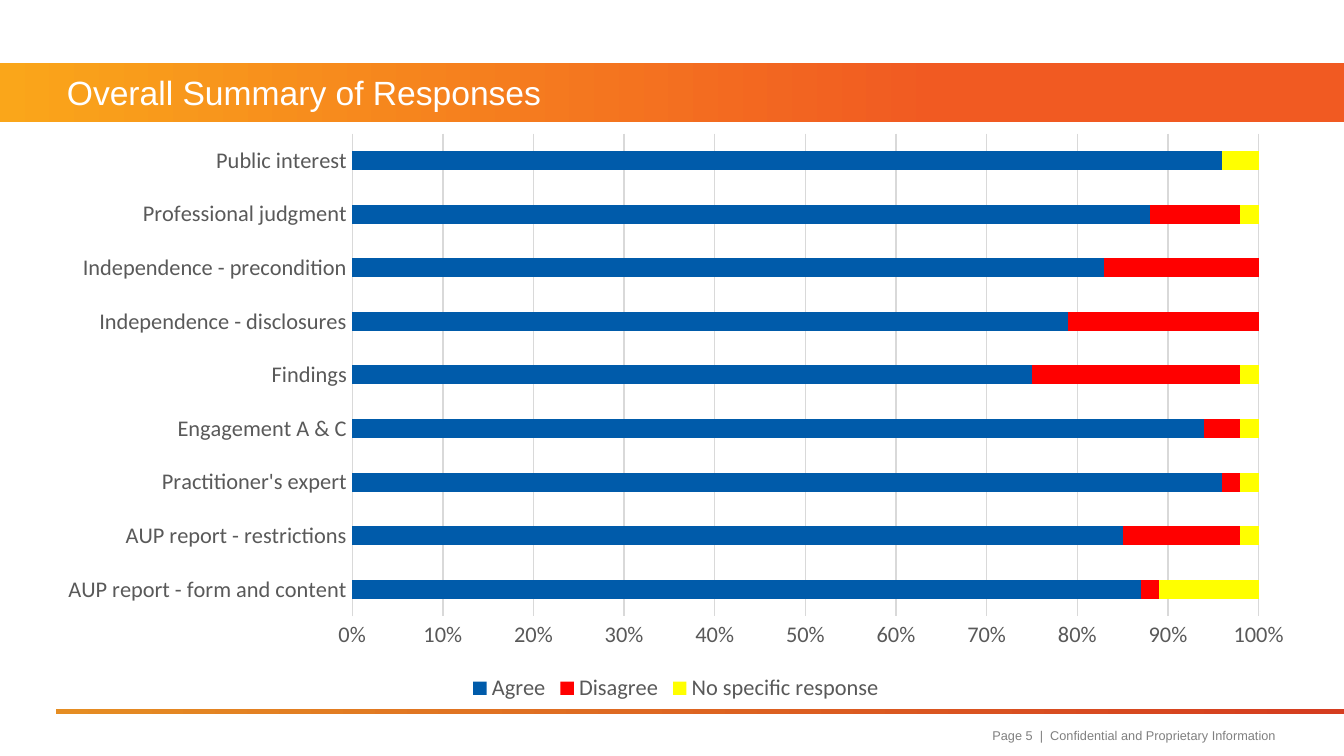
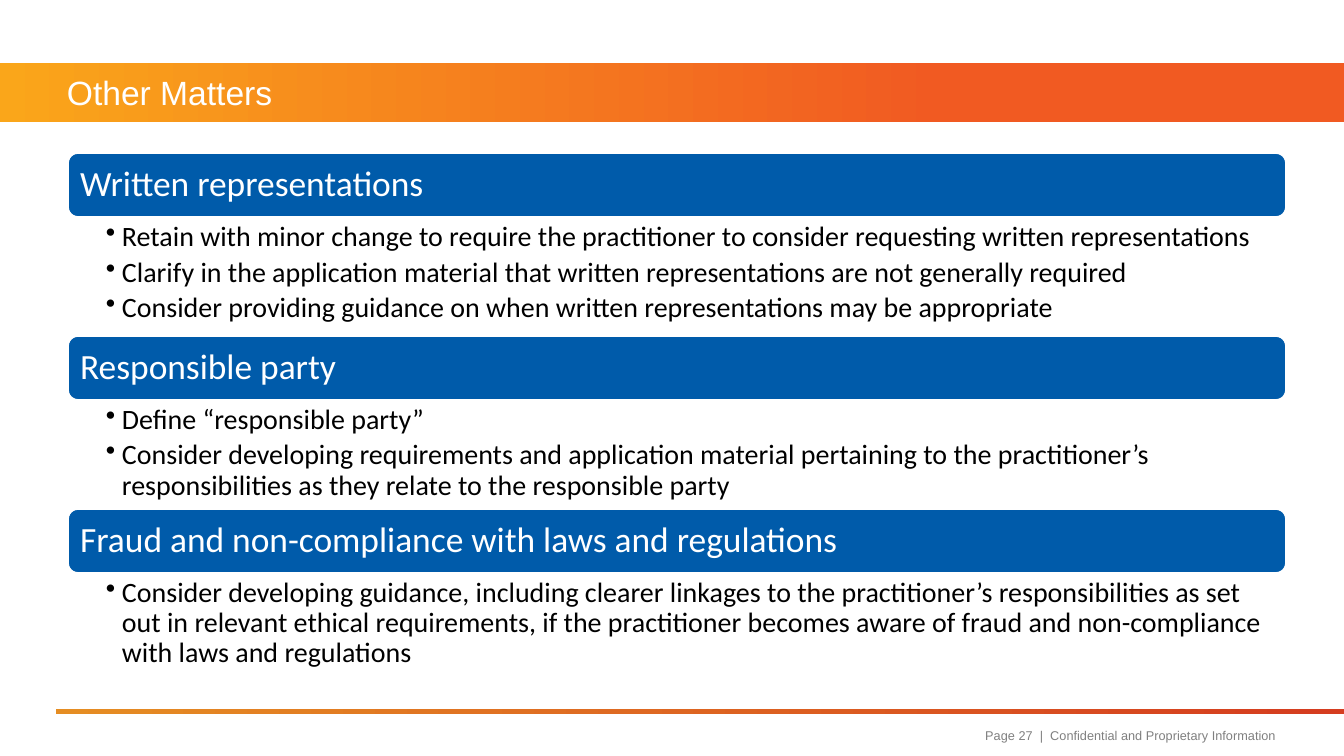
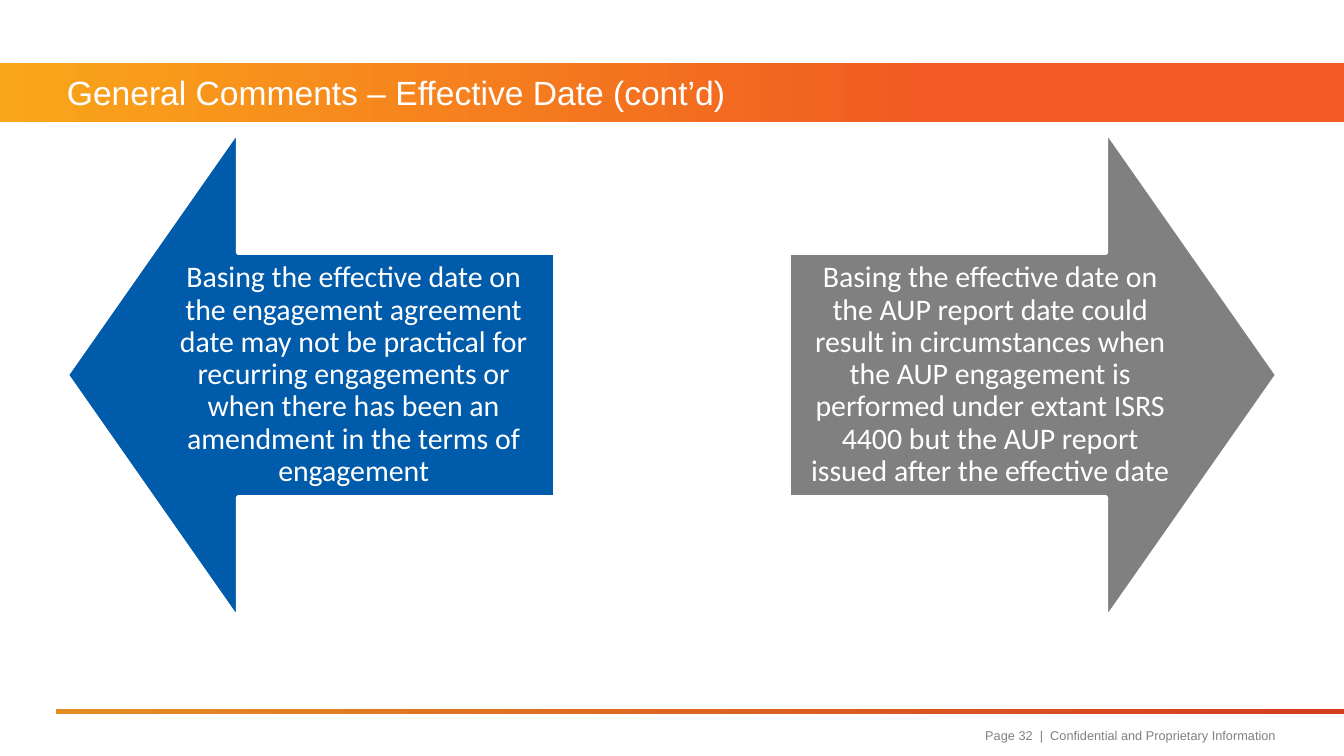
from lxml.etree import SubElement
from pptx import Presentation
from pptx.chart.data import CategoryChartData
from pptx.dml.color import RGBColor
from pptx.enum.chart import XL_CHART_TYPE as ChartType
from pptx.enum.chart import XL_LEGEND_POSITION as LegendPosition
from pptx.enum.chart import XL_TICK_MARK as TickMark
from pptx.enum.shapes import MSO_SHAPE as Preset
from pptx.enum.text import MSO_ANCHOR as Anchor
from pptx.enum.text import PP_ALIGN as Align
from pptx.oxml.ns import qn
from pptx.util import Emu, Pt

EMU_PER_PX = 914400 / 134.4
SLIDE_WIDTH, SLIDE_HEIGHT = 1344, 756
BAND_TOP, BAND_HEIGHT = 63, 59

COLORS = {
    "white": "FFFFFF",
    "black": "000000",
    "amber": "FAA61A",
    "orange": "F15A22",
    "rule_start": "E58D23",
    "rule_end": "D53D20",
    "blue": "005BAA",
    "red": "FF0000",
    "yellow": "FFFF00",
    "gray": "808080",
    "label": "595959",
    "grid": "D9D9D9",
}

TOPICS = [
    ("Public interest", 0.96, 0, 0.04),
    ("Professional judgment", 0.88, 0.1, 0.02),
    ("Independence - precondition", 0.83, 0.17, 0),
    ("Independence - disclosures", 0.79, 0.21, 0),
    ("Findings", 0.75, 0.23, 0.02),
    ("Engagement A & C", 0.94, 0.04, 0.02),
    ("Practitioner's expert", 0.96, 0.02, 0.02),
    ("AUP report - restrictions", 0.85, 0.13, 0.02),
    ("AUP report - form and content", 0.87, 0.02, 0.12),
]
ANSWERS = [("Agree", "blue"), ("Disagree", "red"), ("No specific response", "yellow")]

# Heading, height of the text below it, bullets
MATTERS = [
    ("Written representations", 117, [
        "Retain with minor change to require the practitioner to consider requesting "
        "written representations",
        "Clarify in the application material that written representations are not "
        "generally required",
        "Consider providing guidance on when written representations may be appropriate",
    ]),
    ("Responsible party", 107, [
        "Define “responsible party”",
        "Consider developing requirements and application material pertaining to the "
        "practitioner’s responsibilities as they relate to the responsible party",
    ]),
    ("Fraud and non-compliance with laws and regulations", 101, [
        "Consider developing guidance, including clearer linkages to the practitioner’s "
        "responsibilities as set out in relevant ethical requirements, if the "
        "practitioner becomes aware of fraud and non-compliance with laws and regulations",
    ]),
]

ARROWS = [
    (Preset.LEFT_ARROW, 67, "blue",
     "Basing the effective date on the engagement agreement date may not be practical "
     "for recurring engagements or when there has been an amendment in the terms of "
     "engagement"),
    (Preset.RIGHT_ARROW, 789, "gray",
     "Basing the effective date on the AUP report date could result in circumstances "
     "when the AUP engagement is performed under extant ISRS 4400 but the AUP report "
     "issued after the effective date"),
]


def px(length):
    return Emu(round(length * EMU_PER_PX))


def rgb(name):
    return RGBColor.from_string(COLORS[name])


def set_font(font, size, color, face="Calibri"):
    font.size, font.name = Pt(size), face
    font.color.rgb = rgb(color)


def set_frame(frame, anchor, margins=(0, 0, 0, 0)):
    """Wrap the text and set left, top, right and bottom margins."""
    frame.word_wrap = True
    frame.vertical_anchor = anchor
    (frame.margin_left, frame.margin_top,
     frame.margin_right, frame.margin_bottom) = map(px, margins)


def write(para, text, size, color, face="Calibri", align=Align.LEFT, spacing=0.9):
    para.alignment, para.line_spacing = align, spacing
    span = para.add_run()
    span.text = text
    set_font(span.font, size, color, face)


def add_label(page, box_px, text, size, color, align=Align.LEFT):
    box = page.shapes.add_textbox(*map(px, box_px))
    set_frame(box.text_frame, Anchor.MIDDLE)
    write(box.text_frame.paragraphs[0], text, size, color, "Arial", align, 1.0)


def add_gradient_bar(page, box_px, stops):
    bar = page.shapes.add_shape(Preset.RECTANGLE, *map(px, box_px))
    bar.shadow.inherit = False
    bar.line.fill.background()
    bar.fill.gradient()
    bar.fill.gradient_angle = 0
    for stop, (position, color) in zip(bar.fill.gradient_stops, stops):
        stop.position = position
        stop.color.rgb = rgb(color)


def add_filled_shape(page, preset, box_px, color):
    shape = page.shapes.add_shape(preset, *map(px, box_px))
    shape.shadow.inherit = False
    shape.fill.solid()
    shape.fill.fore_color.rgb = rgb(color)
    shape.line.color.rgb = rgb("white")
    shape.line.width = Pt(2)
    return shape


def add_page(deck, title, number):
    """Add a slide with the title band, the bottom rule and the footer."""
    page = deck.slides.add_slide(deck.slide_layouts[6])
    add_gradient_bar(page, (0, BAND_TOP, SLIDE_WIDTH, BAND_HEIGHT),
                     [(0, "amber"), (0.7, "orange")])
    add_gradient_bar(page, (56, 709, SLIDE_WIDTH - 56, 5),
                     [(0, "rule_start"), (0.99, "rule_end")])
    add_label(page, (67, BAND_TOP, 1210, BAND_HEIGHT), title, 18, "white")
    add_label(page, (871, 718, 405, 34),
              f"Page {number}  |  Confidential and Proprietary Information",
              6.8, "gray", Align.RIGHT)
    return page


def style_axis(axis):
    axis.major_tick_mark = axis.minor_tick_mark = TickMark.NONE
    set_font(axis.tick_labels.font, 12, "label")


def style_line(line):
    line.color.rgb = rgb("grid")
    line.width = Pt(0.75)


def add_response_chart(page):
    topics, *columns = zip(*reversed(TOPICS))
    data = CategoryChartData(number_format="0%")
    data.categories = topics
    for (answer, _), shares in zip(ANSWERS, columns):
        data.add_series(answer, shares)
    chart = page.shapes.add_chart(ChartType.BAR_STACKED,
                                  *map(px, (43, 122, 1266, 585)), data).chart
    set_font(chart.font, 10, "black")
    chart.has_title = False
    chart.has_legend = True
    chart.legend.position = LegendPosition.BOTTOM
    chart.legend.include_in_layout = False
    set_font(chart.legend.font, 12, "label")

    plot = chart.plots[0]
    plot.gap_width, plot.overlap = 182, 100
    plot.vary_by_categories = False
    for series, (_, color) in zip(plot.series, ANSWERS):
        series.format.fill.solid()
        series.format.fill.fore_color.rgb = rgb(color)

    style_axis(chart.category_axis)
    style_line(chart.category_axis.format.line)
    scale = chart.value_axis
    style_axis(scale)
    scale.format.line.fill.background()
    scale.minimum_scale, scale.maximum_scale, scale.major_unit = 0, 1, 0.1
    scale.has_major_gridlines = True
    style_line(scale.major_gridlines.format.line)
    scale.tick_labels.number_format = "0%"
    scale.tick_labels.number_format_is_linked = False


def add_heading(page, box_px, text):
    heading = add_filled_shape(page, Preset.ROUNDED_RECTANGLE, box_px, "blue")
    set_frame(heading.text_frame, Anchor.MIDDLE, (10, 10, 10, 10))
    write(heading.text_frame.paragraphs[0], text, 19, "white")


def add_bullets(page, box_px, items):
    frame = page.shapes.add_textbox(*map(px, box_px)).text_frame
    set_frame(frame, Anchor.TOP, (39, 4, 20, 4))
    for index, item in enumerate(items):
        para = frame.add_paragraph() if index else frame.paragraphs[0]
        properties = para._p.get_or_add_pPr()
        properties.set("marL", str(px(16)))
        properties.set("indent", str(px(-16)))
        SubElement(properties, qn("a:buChar")).set("char", "•")
        para.space_after = Pt(3)
        write(para, item, 15, "black")


def add_matters(page):
    left, top, width, heading_height = 67, 152, 1220, 66
    for heading, body_height, items in MATTERS:
        add_heading(page, (left, top, width, heading_height), heading)
        top += heading_height
        add_bullets(page, (left, top, width, body_height), items)
        top += body_height


def add_arrow(page, preset, left, color, text):
    arrow = add_filled_shape(page, preset, (left, 131, 488, 488), color)
    arrow.adjustments[0], arrow.adjustments[1] = 0.5, 0.35
    set_frame(arrow.text_frame, Anchor.MIDDLE, (16, 16, 16, 16))
    write(arrow.text_frame.paragraphs[0], text, 16, "white", align=Align.CENTER)


def main():
    deck = Presentation()
    deck.slide_width, deck.slide_height = px(SLIDE_WIDTH), px(SLIDE_HEIGHT)
    add_response_chart(add_page(deck, "Overall Summary of Responses", 5))
    add_matters(add_page(deck, "Other Matters", 27))
    page = add_page(deck, "General Comments – Effective Date (cont’d)", 32)
    for arrow in ARROWS:
        add_arrow(page, *arrow)
    deck.save("out.pptx")


if __name__ == "__main__":
    main()
